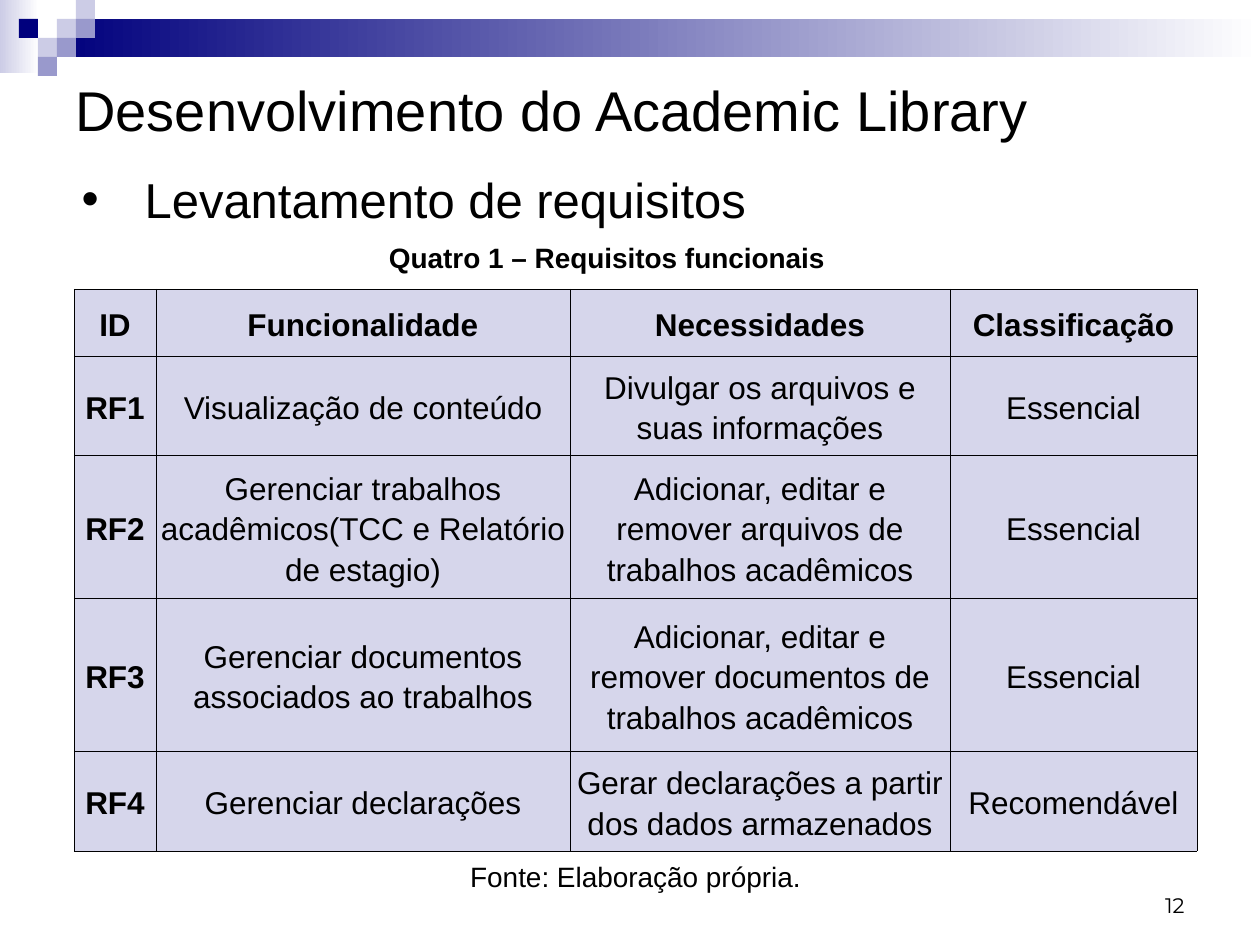
from dataclasses import dataclass

from lxml import etree
from pptx import Presentation
from pptx import util as u
from pptx.dml.color import RGBColor
from pptx.enum import shapes, text
from pptx.oxml import ns

EMU_PER_PX = 914400 / 126


@dataclass(frozen=True)
class Theme:
    font: str = "Arial"
    number_font: str = "Montserrat"
    ink: str = "000000"
    border: str = "000001"
    navy: str = "00007D"
    violet: str = "9999CC"
    lilac: str = "CCCCE6"
    cell: str = "D6D6EB"
    white: str = "FFFFFF"
    heading: int = 32
    topic: int = 28
    table: int = 18
    caption: int = 16
    number: int = 12


THEME = Theme()

COL_WIDTHS = [82, 414, 380, 247]
ROW_HEIGHTS = [67, 96, 139, 153, 96]
REQUIREMENTS = [
    ["ID", "Funcionalidade", "Necessidades", "Classificação"],
    ["RF1", "Visualização de conteúdo",
     "Divulgar os arquivos e suas informações", "Essencial"],
    ["RF2", "Gerenciar trabalhos acadêmicos(TCC e Relatório de estagio)",
     "Adicionar, editar e remover arquivos de trabalhos acadêmicos", "Essencial"],
    ["RF3", "Gerenciar documentos associados ao trabalhos",
     "Adicionar, editar e remover documentos de trabalhos acadêmicos", "Essencial"],
    ["RF4", "Gerenciar declarações",
     "Gerar declarações a partir dos dados armazenados", "Recomendável"],
]

# Header mosaic: column and row on a grid of squares, then colour
SQUARE = 19
MOSAIC = [
    (3, 1, THEME.lilac), (4, 0, THEME.lilac), (4, 1, THEME.violet),
    (2, 2, THEME.lilac), (1, 1, THEME.navy), (3, 2, THEME.violet),
    (2, 3, THEME.violet),
]


def px(n):
    return u.Emu(round(n * EMU_PER_PX))


def rgb(color):
    return RGBColor.from_string(color)


def write(tf, content, size, bold=False, align=text.PP_ALIGN.LEFT,
          font=THEME.font, spacing=1.0):
    tf.text = content
    p = tf.paragraphs[0]
    p.alignment, p.line_spacing = align, spacing
    r = p.runs[0]
    r.font.name, r.font.size, r.font.bold = font, u.Pt(size), bold
    r.font.color.rgb = rgb(THEME.ink)


def add_block(slide, box, fill, fade_to=None):
    sp = slide.shapes.add_shape(shapes.MSO_SHAPE.RECTANGLE, *map(px, box))
    sp.shadow.inherit = False
    sp.line.fill.background()
    if fade_to:
        sp.fill.gradient()
        sp.fill.gradient_angle = 0
        for stop, color in zip(sp.fill.gradient_stops, (fill, fade_to)):
            stop.color.rgb = rgb(color)
    else:
        sp.fill.solid()
        sp.fill.fore_color.rgb = rgb(fill)


def add_header(slide):
    add_block(slide, (0, 0, 39, 73), THEME.lilac, THEME.white)
    add_block(slide, (57, 19, 1203, 38), THEME.navy, THEME.white)
    for col, row, color in MOSAIC:
        add_block(slide, (col * SQUARE, row * SQUARE, SQUARE, SQUARE), color)


def add_label(slide, box, content, size, anchor=text.MSO_ANCHOR.TOP, **style):
    tf = slide.shapes.add_textbox(*map(px, box)).text_frame
    tf.word_wrap = True
    tf.vertical_anchor = anchor
    write(tf, content, size, **style)


def set_topic(slide, box, content):
    sp = slide.shapes.title
    sp.left, sp.top, sp.width, sp.height = map(px, box)
    tf = sp.text_frame
    tf.auto_size = text.MSO_AUTO_SIZE.NONE
    tf.vertical_anchor = text.MSO_ANCHOR.MIDDLE
    write(tf, content, THEME.topic)
    # Hanging bullet
    pPr = tf.paragraphs[0]._p.get_or_add_pPr()
    pPr.set("marL", str(px(63)))
    pPr.set("indent", str(px(-63)))
    etree.SubElement(pPr, ns.qn("a:buFont"), typeface=THEME.font)
    etree.SubElement(pPr, ns.qn("a:buChar"), char="•")


def set_borders(cell):
    tcPr = cell._tc.get_or_add_tcPr()
    for side in ("lnL", "lnR", "lnT", "lnB"):
        ln = etree.SubElement(tcPr, ns.qn(f"a:{side}"), w=str(u.Pt(0.34)))
        fill = etree.SubElement(ln, ns.qn("a:solidFill"))
        etree.SubElement(fill, ns.qn("a:srgbClr"), val=THEME.border)


def add_requirements(slide, left, top):
    box = (left, top, sum(COL_WIDTHS), sum(ROW_HEIGHTS))
    table = slide.shapes.add_table(
        len(ROW_HEIGHTS), len(COL_WIDTHS), *map(px, box)).table
    table.first_row = table.horz_banding = False
    for column, width in zip(table.columns, COL_WIDTHS):
        column.width = px(width)
    for i, (row, height) in enumerate(zip(table.rows, ROW_HEIGHTS)):
        row.height = px(height)
        for j, cell in enumerate(row.cells):
            set_borders(cell)
            cell.fill.solid()
            cell.fill.fore_color.rgb = rgb(THEME.cell)
            cell.margin_left = cell.margin_right = px(4)
            cell.vertical_anchor = text.MSO_ANCHOR.MIDDLE
            write(cell.text_frame, REQUIREMENTS[i][j], THEME.table,
                  bold=i == 0 or j == 0, align=text.PP_ALIGN.CENTER, spacing=1.15)


def main():
    prs = Presentation()
    prs.slide_width, prs.slide_height = px(1260), px(945)
    slide = prs.slides.add_slide(prs.slide_layouts[5])

    # Header band and topic
    add_header(slide)
    set_topic(slide, (69, 152, 1134, 93), "Levantamento de requisitos")

    # Page number
    add_label(slide, (903, 861, 294, 63), "12", THEME.number,
              anchor=text.MSO_ANCHOR.BOTTOM, align=text.PP_ALIGN.RIGHT,
              font=THEME.number_font)

    # Table with its caption and source
    add_requirements(slide, 74, 289)
    add_label(slide, (220, 234, 774, 47), "Quatro 1 – Requisitos funcionais",
              THEME.caption, bold=True, align=text.PP_ALIGN.CENTER)
    add_label(slide, (451, 837, 369, 63), "Fonte: Elaboração própria.",
              THEME.caption, align=text.PP_ALIGN.CENTER, spacing=1.5)

    # Heading
    add_label(slide, (63, 63, 1134, 92), "Desenvolvimento do Academic Library",
              THEME.heading, anchor=text.MSO_ANCHOR.MIDDLE)

    prs.save("out.pptx")


if __name__ == "__main__":
    main()
